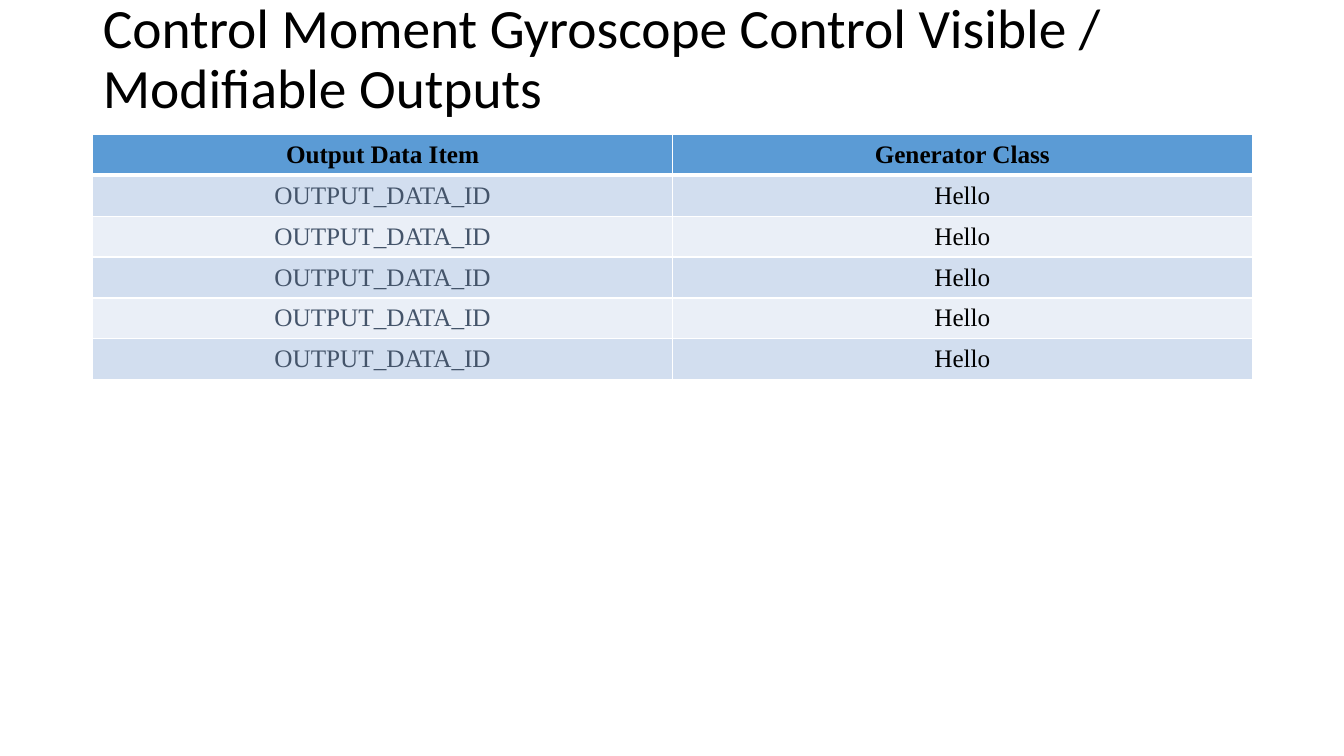
import pptx
import pptx.dml.color
import pptx.enum.text
import pptx.oxml
import pptx.oxml.ns
import pptx.util

HUES = {"ink": "000000", "slate": "44546A", "head": "5B9BD5",
        "odd": "D2DEEF", "even": "EAEFF7", "rule": "FFFFFF"}
ALIGN = pptx.enum.text.PP_ALIGN
MIDDLE = pptx.enum.text.MSO_ANCHOR.MIDDLE
NS = pptx.oxml.ns.nsdecls("a")


def hue(name):
    return pptx.dml.color.RGBColor.from_string(HUES[name])


def write(frame, text, size=18, font="Times New Roman", color="ink",
          bold=False, align=ALIGN.CENTER, line=None, gap=None):
    """Put one formatted paragraph in a text frame."""
    para = frame.paragraphs[0]
    para.alignment = align
    if line:
        para.line_spacing = line
    if gap:
        props = para._p.get_or_add_pPr()
        for tag in ("spcBef", "spcAft"):
            props.append(pptx.oxml.parse_xml(
                f'<a:{tag} {NS}><a:spcPct val="{gap * 1000}"/></a:{tag}>'))
    run = para.add_run()
    run.text = text
    run.font.size = pptx.util.Pt(size)
    run.font.name = font
    run.font.bold = bold
    run.font.color.rgb = hue(color)


class Deck:
    COL = 0.46      # grid column, inches
    ROW = 1 / 15    # grid row, inches

    def __init__(self):
        self.show = pptx.Presentation()
        self.show.slide_width = pptx.util.Inches(13.33)
        self.show.slide_height = pptx.util.Inches(7.5)
        self.slide = self.show.slides.add_slide(self.show.slide_layouts[5])

    def box(self, col, row, wide, high):
        return [pptx.util.Inches(n) for n in (
            col * self.COL, row * self.ROW, wide * self.COL, high * self.ROW)]

    def title(self, text, *area):
        shape = self.slide.shapes.title
        shape.left, shape.top, shape.width, shape.height = self.box(*area)
        frame = shape.text_frame
        frame.word_wrap = True
        frame.auto_size = pptx.enum.text.MSO_AUTO_SIZE.NONE
        frame.vertical_anchor = MIDDLE
        write(frame, text, size=39.6, font="Calibri",
              align=ALIGN.LEFT, line=0.9)

    def edges(self, cell, **widths):
        props = cell._tc.get_or_add_tcPr()
        for spot, side in enumerate("LRTB"):
            wide = pptx.util.Pt(widths.get(side, 1))
            props.insert(spot, pptx.oxml.parse_xml(
                f'<a:ln{side} {NS} w="{wide}"><a:solidFill>'
                f'<a:srgbClr val="{HUES["rule"]}"/></a:solidFill></a:ln{side}>'))

    def table(self, rows, *area):
        grid = self.slide.shapes.add_table(
            len(rows), len(rows[0]), *self.box(*area)).table
        grid.horz_banding = False
        for r, row in enumerate(rows):
            for c, text in enumerate(row):
                cell = grid.cell(r, c)
                cell.vertical_anchor = MIDDLE
                cell.fill.solid()
                band = "odd" if r % 2 else "even"
                cell.fill.fore_color.rgb = hue(band if r else "head")
                self.edges(cell, T=3 if r == 1 else 1, B=1 if r else 3)
                write(cell.text_frame, text, bold=r == 0, gap=20,
                      color="slate" if r and c == 0 else "ink")


def main():
    deck = Deck()
    # Title
    deck.title("Control Moment Gyroscope Control Visible / Modifiable Outputs",
               2, 1, 25, 16)
    # Output table
    rows = [("Output Data Item", "Generator Class")]
    rows += [("OUTPUT_DATA_ID", "Hello")] * 5
    deck.table(rows, 2, 20, 25, 36.5)
    deck.show.save("out.pptx")


if __name__ == "__main__":
    main()
